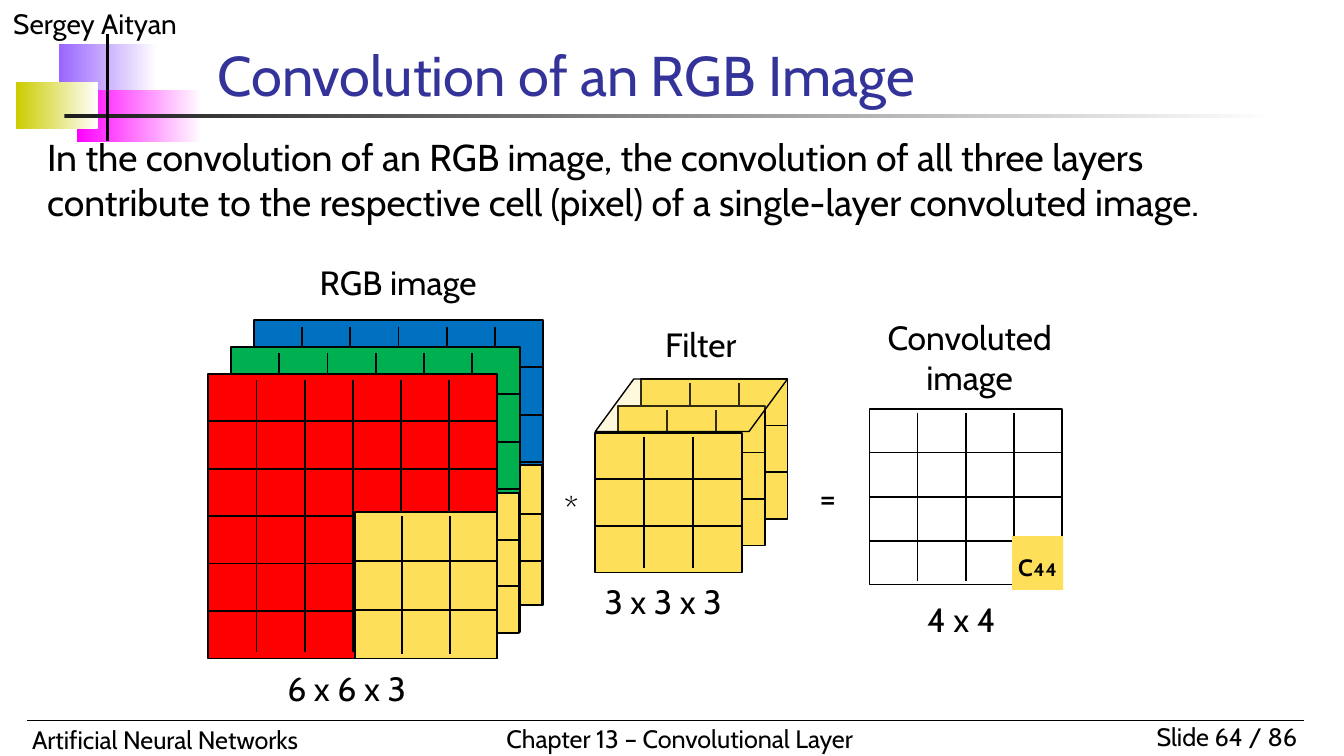
from dataclasses import dataclass
from typing import Optional

import pptx
import pptx.dml.color
import pptx.enum.shapes
import pptx.enum.text
import pptx.oxml.ns
import pptx.util
from lxml import etree

Inches = pptx.util.Inches
Pt = pptx.util.Pt
RGBColor = pptx.dml.color.RGBColor
PP_ALIGN = pptx.enum.text.PP_ALIGN
MSO_SHAPE = pptx.enum.shapes.MSO_SHAPE
qn = pptx.oxml.ns.qn

FONT = "Cabin"
BLACK = RGBColor(0x00, 0x00, 0x00)
WHITE = RGBColor(0xFF, 0xFF, 0xFF)
TITLE_BLUE = RGBColor(0x33, 0x33, 0x99)
PURPLE = RGBColor(0x99, 0x66, 0xFF)
MAGENTA = RGBColor(0xFF, 0x00, 0xFF)
OLIVE = RGBColor(0xCC, 0xCC, 0x00)
CHARCOAL = RGBColor(0x1C, 0x1C, 0x1C)
YELLOW = RGBColor(0xFE, 0xDF, 0x59)
BLUE = RGBColor(0x00, 0x70, 0xC0)
GREEN = RGBColor(0x00, 0xB0, 0x50)
RED = RGBColor(0xFF, 0x00, 0x00)


@dataclass
class Fade:
    left: float
    top: float
    width: float
    height: float
    color: RGBColor


@dataclass
class Grid:
    left: float
    top: float
    width: float
    height: float
    rows: int
    cols: int
    fill: Optional[RGBColor]
    inset: float = 0.03  # gap between the column lines and the outline
    slip: float = 0  # offset of the row lines, right and down


@dataclass
class Label:
    text: str
    left: float
    top: float
    width: float
    height: float
    size: float = 18
    align: PP_ALIGN = PP_ALIGN.LEFT
    margin: float = 0.1
    wrap: bool = True


def write(frame, text: str, size: float, color: RGBColor = BLACK,
          align: PP_ALIGN = PP_ALIGN.LEFT) -> None:
    paragraph = frame.paragraphs[0]
    paragraph.alignment = align
    run = paragraph.add_run()
    run.text = text
    run.font.name = FONT
    run.font.size = Pt(size)
    run.font.color.rgb = color


def place(shape, left: float, top: float, width: float, height: float) -> None:
    shape.left, shape.top = Inches(left), Inches(top)
    shape.width, shape.height = Inches(width), Inches(height)


def add_label(shapes, label: Label) -> None:
    box = shapes.add_textbox(Inches(label.left), Inches(label.top),
                             Inches(label.width), Inches(label.height))
    frame = box.text_frame
    frame.word_wrap = label.wrap
    frame.margin_left = frame.margin_right = Inches(label.margin)
    frame.margin_top = frame.margin_bottom = Inches(label.margin / 2)
    write(frame, label.text, label.size, align=label.align)


def add_line(shapes, x1: float, y1: float, x2: float, y2: float, weight: float = 1):
    line = shapes.add_connector(pptx.enum.shapes.MSO_CONNECTOR.STRAIGHT,
                                Inches(x1), Inches(y1), Inches(x2), Inches(y2))
    line.line.color.rgb = BLACK
    line.line.width = Pt(weight)
    etree.SubElement(line._element.spPr, qn("a:effectLst"))
    return line


def add_block(shapes, kind: MSO_SHAPE, left: float, top: float, width: float,
              height: float, fill: Optional[RGBColor], weight: float = 0):
    """Add a preset shape; no fill for None, no outline for weight 0."""
    block = shapes.add_shape(kind, Inches(left), Inches(top), Inches(width), Inches(height))
    block.shadow.inherit = False
    if fill is None:
        block.fill.background()
    else:
        block.fill.solid()
        block.fill.fore_color.rgb = fill
    if weight:
        block.line.color.rgb = BLACK
        block.line.width = Pt(weight)
    else:
        block.line.fill.background()
    return block


def add_fade(shapes, fade: Fade) -> None:
    block = add_block(shapes, MSO_SHAPE.RECTANGLE, fade.left, fade.top,
                      fade.width, fade.height, fade.color)
    block.fill.gradient()
    block.fill.gradient_angle = 0
    for stop, position, color in zip(block.fill.gradient_stops, (0, 1), (fade.color, WHITE)):
        stop.position = position
        stop.color.rgb = color


def add_grid(shapes, grid: Grid) -> None:
    outline = add_block(shapes, MSO_SHAPE.RECTANGLE, grid.left, grid.top,
                        grid.width, grid.height, grid.fill, 1)
    for row in range(1, grid.rows):
        x = grid.left + grid.slip
        y = grid.top + grid.slip + grid.height * row / grid.rows
        line = add_line(shapes, x, y, x + grid.width, y)
        if 2 * row == grid.rows and not grid.slip:
            line.begin_connect(outline, 1)
            line.end_connect(outline, 3)
    for col in range(1, grid.cols):
        x = grid.left + grid.width * col / grid.cols
        add_line(shapes, x, grid.top + grid.inset, x, grid.top + grid.height - grid.inset)


def add_group(slide, grids: list[Grid], labels: list[Label]):
    shapes = slide.shapes.add_group_shape().shapes
    for grid in grids:
        add_grid(shapes, grid)
    for label in labels:
        add_label(shapes, label)
    return shapes


def add_frame(slide) -> None:
    """Draw the corner ornament, the header and the footer."""
    for fade in (Fade(0.44, 0.33, 0.73, 0.39, PURPLE), Fade(0.57, 0.67, 0.93, 0.39, MAGENTA),
                 Fade(0.12, 0.61, 0.61, 0.35, OLIVE), Fade(0.48, 0.85, 9, 0.03, CHARCOAL)):
        add_fade(slide.shapes, fade)
    for label in (
        Label("Sergey Aityan", 0, 0, 2.5, 0.35, 15),
        Label("Slide 64 / 86", 8.25, 5.32, 1.5, 0.33, 13.5, PP_ALIGN.RIGHT),
        Label("Artificial Neural Networks", 0.14, 5.34, 3.7, 0.33, 13.5),
        Label("Chapter 13 – Convolutional Layer", 3.67, 5.33, 2.99, 0.33, 13.5, wrap=False),
    ):
        add_label(slide.shapes, label)
    add_line(slide.shapes, 0.2, 5.36, 9.7, 5.36, 0.75)
    add_line(slide.shapes, 0.8, 0.25, 0.8, 1.05, 2)


def fill_placeholders(slide) -> None:
    title, body = slide.placeholders[0], slide.placeholders[1]
    place(title, 1.52, 0.31, 7.35, 0.54)
    place(body, 0.25, 0.95, 9.5, 0.78)
    for holder in (title, body):
        holder.text_frame.word_wrap = True
        holder.text_frame.auto_size = pptx.enum.text.MSO_AUTO_SIZE.NONE
    title.text_frame.vertical_anchor = pptx.enum.text.MSO_ANCHOR.BOTTOM
    write(title.text_frame, "Convolution of an RGB Image", 30, TITLE_BLUE)

    paragraph = body.text_frame.paragraphs[0]
    properties = paragraph._p.get_or_add_pPr()
    properties.set("marL", "0")
    properties.set("indent", "0")
    etree.SubElement(properties, qn("a:buNone"))
    paragraph.space_before = Pt(0)
    write(body.text_frame, "In the convolution of an RGB image, the convolution of all three "
          "layers contribute to the respective cell (pixel) of a single-layer convoluted image.", 20)


def main() -> None:
    deck = pptx.Presentation()
    deck.slide_width, deck.slide_height = Inches(10), Inches(10 * 9 / 16)
    slide = deck.slides.add_slide(deck.slide_layouts[1])
    fill_placeholders(slide)
    add_frame(slide)

    step_x, step_y = 0.17, 0.2  # offset from one layer to the next
    filter_layers = [Grid(4.77 - step_x * i, 2.82 + step_y * i, 1.09, 1.04, 3, 3, YELLOW)
                     for i in range(3)]
    filter_shapes = add_group(slide, filter_layers, [
        Label("3 x 3 x 3", 4.4, 4.27, 1.26, 0.4), Label("Filter", 4.85, 2.36, 0.79, 0.4)])
    lid = add_block(filter_shapes, MSO_SHAPE.FLOWCHART_DATA, 4.43, 2.82, 1.43, 0.39, YELLOW, 0.75)
    lid_color = lid._element.spPr.find(qn("a:solidFill"))[0]
    etree.SubElement(lid_color, qn("a:alpha"), val="20000")

    windows = [Grid(2.94, 3.46, 1.09, 1.04, 3, 1, YELLOW, slip=0.02),
               Grid(2.77, 3.67, 1.09, 1.04, 3, 1, YELLOW),
               Grid(2.64, 3.81, 1.06, 1.09, 3, 3, YELLOW)]
    image_layers = []
    for i, (color, window) in enumerate(zip((BLUE, GREEN, RED), windows)):
        image_layers += [Grid(1.89 - step_x * i, 2.38 + step_y * i, 2.15, 2.12, 6, 6, color, 0.05),
                         window]
    add_group(slide, image_layers, [
        Label("6 x 6 x 3", 2.04, 4.92, 1.26, 0.4), Label("RGB image", 2.28, 1.9, 1.58, 0.4)])

    add_group(slide, [Grid(6.47, 3.04, 1.43, 1.31, 4, 4, None)], [
        Label("4 x 4", 6.8, 4.41, 0.76, 0.4),
        Label("Convoluted image", 6.45, 2.31, 1.53, 0.71, align=PP_ALIGN.CENTER)])

    for operator, left, top in (("*", 4.06, 3.63), ("=", 5.97, 3.55)):
        add_label(slide.shapes, Label(operator, left, top, 0.38, 0.3,
                                      align=PP_ALIGN.CENTER, margin=0))

    result_cell = add_block(slide.shapes, MSO_SHAPE.RECTANGLE, 7.53, 3.99, 0.38, 0.4, YELLOW)
    result_cell.text_frame.margin_left = result_cell.text_frame.margin_right = 0
    write(result_cell.text_frame, "c₄₄", 18, align=PP_ALIGN.CENTER)

    deck.save("out.pptx")


if __name__ == "__main__":
    main()
